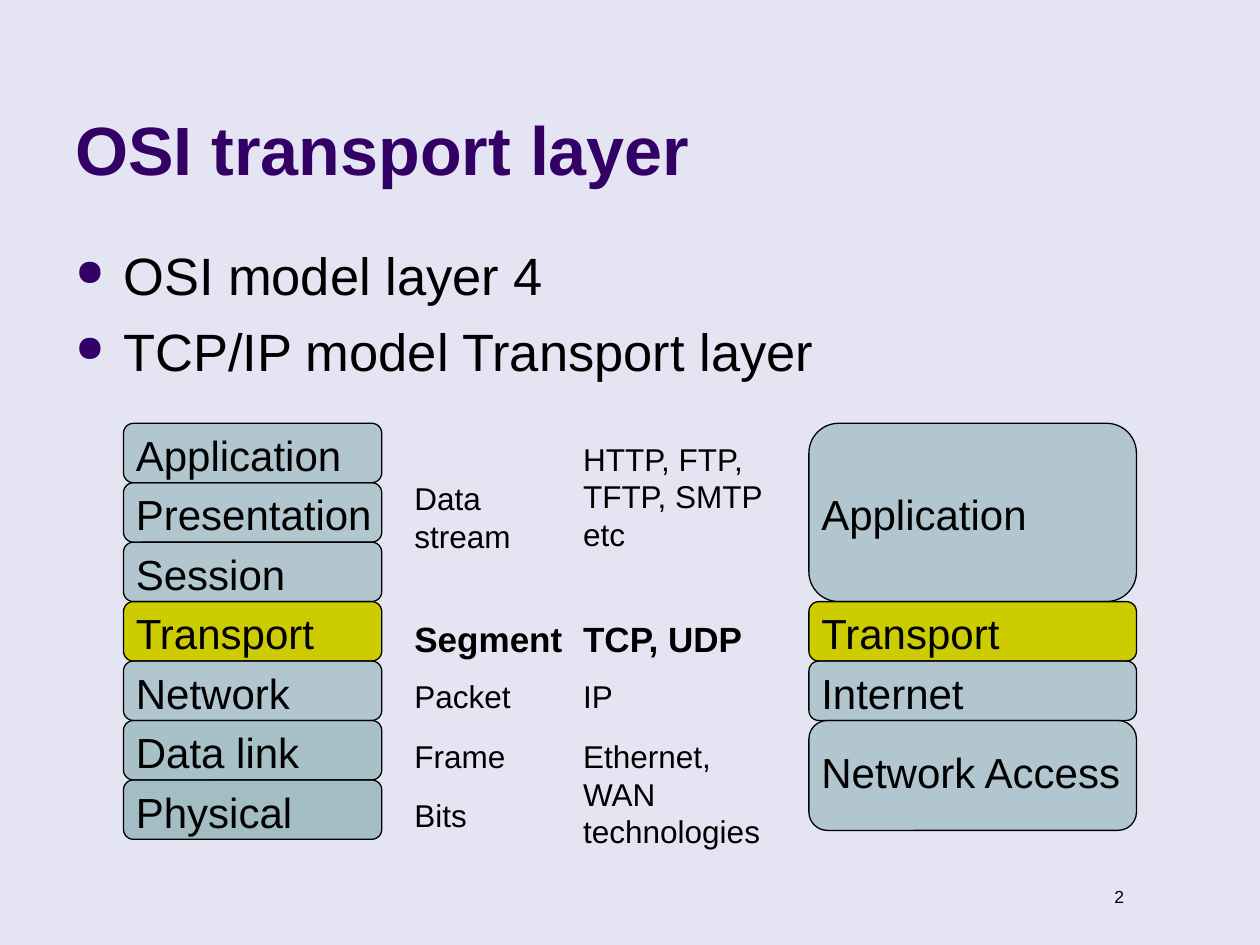
from lxml import etree
from pptx import Presentation
from pptx.dml.color import RGBColor
from pptx.enum.shapes import MSO_SHAPE
from pptx.enum.text import MSO_ANCHOR, PP_ALIGN
from pptx.oxml.ns import qn
from pptx.util import Inches, Pt

ROUND = MSO_SHAPE.ROUNDED_RECTANGLE
TOP, BOTTOM = MSO_ANCHOR.TOP, MSO_ANCHOR.BOTTOM
LEFT, RIGHT = PP_ALIGN.LEFT, PP_ALIGN.RIGHT

FONT = "Arial"
COLORS = {
    "back": "E4E4F2",
    "title": "330066",
    "text": "000000",
    "layer": "669999",
    "focus": "CCCC00",
}

TITLE = "OSI transport layer"
POINTS = ["OSI model layer 4", "TCP/IP model Transport layer"]
NUMBER = "2"

# Layer name, first row, rows covered, label row, label width, opacity in %
OSI = [
    ("Application", 0, 1, 0, 2.05, 40),
    ("Presentation", 1, 1, 1, 2.21, 40),
    ("Session", 2, 1, 2, 2.05, 40),
    ("Transport", 3, 1, 3, 2.05, 100),
    ("Network", 4, 1, 4, 2.05, 40),
    ("Data link", 5, 1, 5, 2.05, 47),
    ("Physical", 6, 1, 6, 2.05, 51),
]
TCP_IP = [
    ("Application", 0, 3, 1, 1.97, 40),
    ("Transport", 3, 1, 3, 1.97, 100),
    ("Internet", 4, 1, 4, 1.97, 40),
    ("Network Access", 5, 1.85, 5.34, 2.68, 40),
]
STACKS = [(0.98, 2.05, OSI), (6.42, 2.6, TCP_IP)]

# Note, row, width, height
UNITS = [
    ("Data stream", 0.66, 1.42, 0.7),
    ("Segment", 3, 1.42, 0.44),
    ("Packet", 4, 1.42, 0.4),
    ("Frame", 5, 1.42, 0.4),
    ("Bits", 6, 1.42, 0.4),
]
PROTOCOLS = [
    ("HTTP, FTP, TFTP, SMTP etc", 0, 1.73, 1),
    ("TCP, UDP", 3, 1.73, 0.44),
    ("IP", 4, 1.42, 0.4),
    ("Ethernet, WAN technologies", 5, 1.65, 1),
]
NOTES = [(3.19, UNITS), (4.53, PROTOCOLS)]
FOCUS_ROW = 3

STACK_TOP = 3.36
ROW = 2.83 / 6
NOTE_DROP = 0.08


def row_top(row):
    return STACK_TOP + row * ROW


def rgb(name):
    return RGBColor.from_string(COLORS[name])


def add_bullet(para):
    props = para._p.get_or_add_pPr()
    props.set("marL", str(Inches(0.38)))
    props.set("indent", str(Inches(-0.38)))
    color = etree.SubElement(props, qn("a:buClr"))
    etree.SubElement(color, qn("a:srgbClr"), val=COLORS["title"])
    etree.SubElement(props, qn("a:buSzPct"), val="70000")
    etree.SubElement(props, qn("a:buChar"), char="●")


def add_text(shapes, lines, box, size=24, color="text", bold=False,
             align=LEFT, anchor=TOP, bullets=False, gap=0):
    frame = shapes.add_textbox(*map(Inches, box)).text_frame
    frame.word_wrap = True
    frame.vertical_anchor = anchor
    for i, line in enumerate(lines):
        para = frame.paragraphs[0] if i == 0 else frame.add_paragraph()
        if bullets:
            add_bullet(para)
        para.alignment = align
        if i:
            para.space_before = Pt(gap)
        run = para.add_run()
        run.text = line
        run.font.name = FONT
        run.font.size = Pt(size)
        run.font.bold = bold
        run.font.color.rgb = rgb(color)


def add_layer(shapes, box, opacity):
    layer = shapes.add_shape(ROUND, *map(Inches, box))
    layer.shadow.inherit = False
    layer.adjustments[0] = 0.167
    layer.fill.solid()
    layer.fill.fore_color.rgb = rgb("layer" if opacity < 100 else "focus")
    if opacity < 100:
        tint = layer.fill._xPr.find(".//" + qn("a:srgbClr"))
        etree.SubElement(tint, qn("a:alpha"), val=str(opacity * 1000))
    layer.line.color.rgb = rgb("text")
    layer.line.width = Pt(0.75)


def add_stack(slide, left, width, layers):
    shapes = slide.shapes.add_group_shape().shapes
    for _, row, span, _, _, opacity in layers:
        add_layer(shapes, (left, row_top(row), width, span * ROW), opacity)
    for name, _, _, row, wide, _ in layers:
        add_text(shapes, [name], (left, row_top(row), wide, 0.5))


def add_notes(slide, left, notes):
    shapes = slide.shapes.add_group_shape().shapes
    for note, row, width, height in notes:
        focus = row == FOCUS_ROW
        add_text(shapes, [note],
                 (left, row_top(row) + NOTE_DROP, width, height),
                 size=20 if focus else 18, bold=focus)


def main():
    deck = Presentation()
    deck.slide_width, deck.slide_height = Inches(10), Inches(7.5)
    slide = deck.slides.add_slide(deck.slide_layouts[6])
    slide.background.fill.solid()
    slide.background.fill.fore_color.rgb = rgb("back")

    add_text(slide.shapes, [NUMBER], (8.39, 6.98, 0.63, 0.27),
             size=10, align=RIGHT)
    add_text(slide.shapes, [TITLE], (0.5, 0.13, 8.25, 1.42),
             size=39, color="title", bold=True, anchor=BOTTOM)
    add_text(slide.shapes, POINTS, (0.5, 1.88, 9.15, 1.56),
             size=30, bullets=True, gap=7.5)
    for left, width, layers in STACKS:
        add_stack(slide, left, width, layers)
    for left, notes in NOTES:
        add_notes(slide, left, notes)

    deck.save("out.pptx")


if __name__ == "__main__":
    main()
